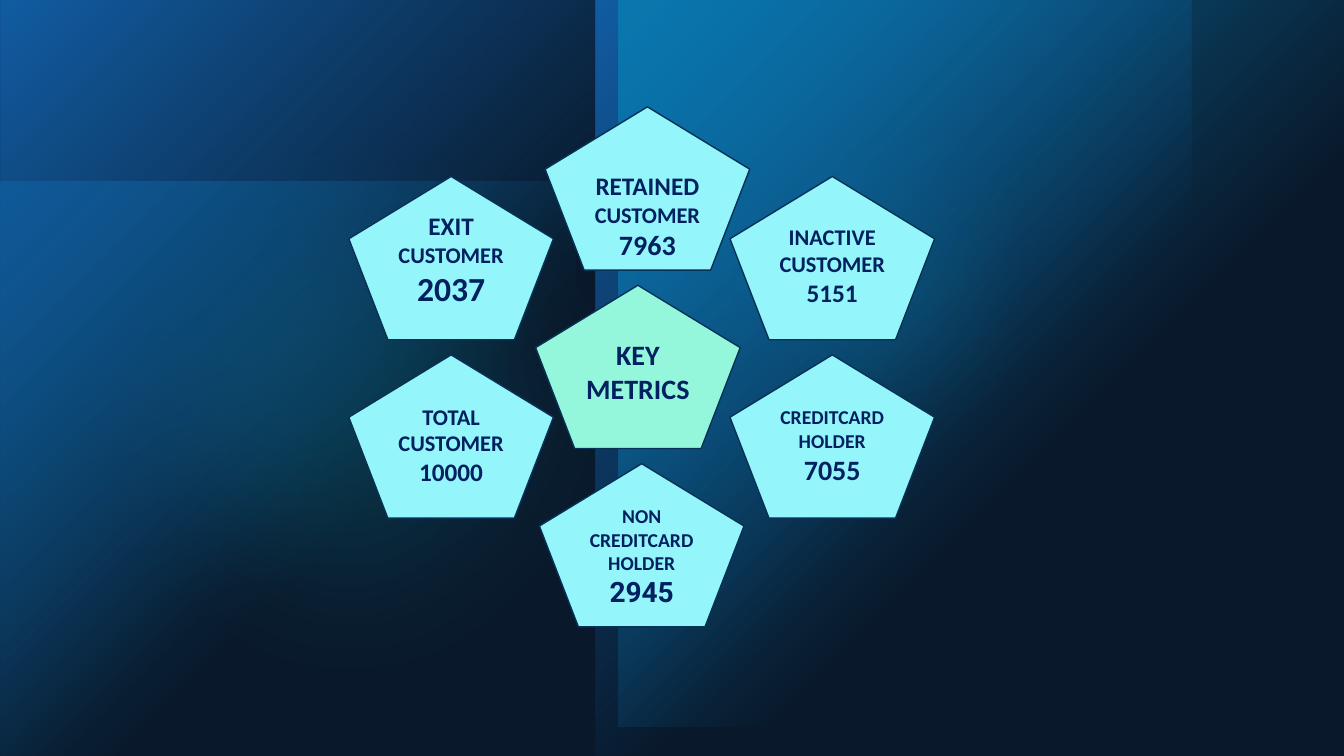
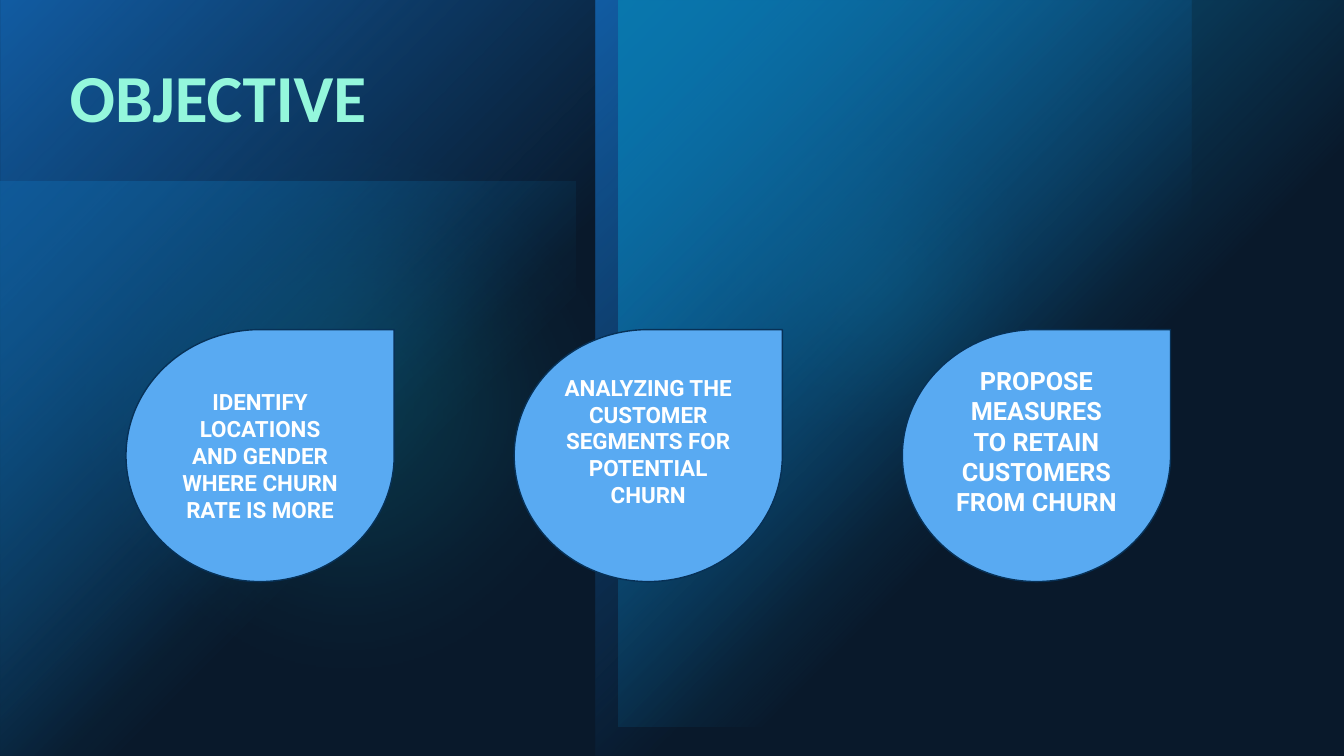
import lxml.etree
import pptx
import pptx.dml.color
import pptx.enum.shapes
import pptx.enum.text
import pptx.oxml.ns
import pptx.util

inch = pptx.util.Inches
qn = pptx.oxml.ns.qn
RGB = pptx.dml.color.RGBColor
KIND = pptx.enum.shapes.MSO_SHAPE
ALIGN = pptx.enum.text.PP_ALIGN
ANCHOR = pptx.enum.text.MSO_ANCHOR

WIDE, HIGH = 13.33, 7.5
BLACK = RGB(0x00, 0x00, 0x00)
BLUE = RGB(0x0F, 0x6F, 0xC6)
SKY = RGB(0x00, 0x9D, 0xD9)
TEAL = RGB(0x0B, 0xD0, 0xD9)
VEIL = RGB(0x17, 0x40, 0x6D)
MINT = RGB(0x94, 0xF7, 0xDC)
AQUA = RGB(0x94, 0xF5, 0xFA)
DROP = RGB(0x59, 0xAA, 0xF2)
EDGE = RGB(0x07, 0x31, 0x57)
NAVY = RGB(0x00, 0x20, 0x60)
WHITE = RGB(0xFF, 0xFF, 0xFF)
HEAD, BODY = "Calibri", "Roboto"

# Metric grid: left and top of the first cell, column and row steps, cell size
LEFT, TOP, COL, ROW = 3.46, 1.06, 1.89, 1.77
CELL = (2.03, 1.62)
SIDE = 0.39  # rows by which the outer columns sit lower


def add(node, tag, **attrs):
    child = lxml.etree.SubElement(node, qn(tag))
    for name, value in attrs.items():
        child.set(name, str(value))
    return child


def tint(node, color, alpha):
    """Add a colour with an opacity in percent."""
    add(add(node, "a:srgbClr", val=color), "a:alpha", val=alpha * 1000)


def plain(slide, kind, box, color):
    shape = slide.shapes.add_shape(kind, *map(inch, box))
    shape.shadow.inherit = False
    shape.fill.solid()
    shape.fill.fore_color.rgb = color
    shape.line.fill.background()
    return shape


def sheer(slide, kind, box, color, alpha, soft=0):
    """Draw a see-through shape, with a soft edge of the given inches."""
    shape = plain(slide, kind, box, color)
    props = shape.element.spPr
    fill = props.find(qn("a:solidFill"))
    fill.remove(fill[0])
    tint(fill, color, alpha)
    if soft:
        add(props.find(qn("a:effectLst")), "a:softEdge", rad=inch(soft))
    return shape


def glow(slide, box, color, alpha=100, turn=0, flip="flipV"):
    """Draw a rectangle that fades out from one corner."""
    shape = plain(slide, KIND.RECTANGLE, box, color)
    shape.rotation = turn
    props = shape.element.spPr
    for name in flip.split():
        props.find(qn("a:xfrm")).set(name, "1")
    grad = lxml.etree.Element(qn("a:gradFill"), rotWithShape="1")
    stops = add(grad, "a:gsLst")
    for place, level in ((0, alpha), (60, 0)):
        tint(add(stops, "a:gs", pos=place * 1000), color, level)
    focus = add(grad, "a:path", path="circle")
    add(focus, "a:fillToRect", r=100000, b=100000)
    props.replace(props.find(qn("a:solidFill")), grad)
    return shape


def backdrop(deck, slide):
    """Draw the shared backdrop and move it to the slide master."""
    master = deck.slide_master
    master.background.fill.solid()
    master.background.fill.fore_color.rgb = BLACK
    half = (5.91, HIGH)
    parts = [
        glow(slide, (0, 1.8, 5.71, 5.71), SKY, 60),
        sheer(slide, KIND.OVAL, (6.29, 0.43, 4.72, 4.72), TEAL, 60, 1.39),
        sheer(slide, KIND.OVAL, (0, 0.56, 6.94, 6.94), TEAL, 20, 1.39),
        glow(slide, (0, 0, *half), BLUE, turn=180),
        glow(slide, (half[0], 0, *half), BLUE, turn=180, flip="flipH flipV"),
        glow(slide, (6.13, 0, 7.21, 7.21), SKY, turn=180),
        sheer(slide, KIND.RECTANGLE, (0, 0, WIDE, HIGH), VEIL, 40),
    ]
    for place, part in enumerate(parts, 2):
        master.shapes.element.insert(place, part.element)


def style(para, size, font, color):
    for run in para.runs:
        run.font.size = pptx.util.Pt(size)
        run.font.name = font
        run.font.bold = True
        run.font.color.rgb = color


def badge(slide, kind, box, fill, color, lines, lift, side):
    """Draw an outlined shape; lines hold text, size and font."""
    shape = plain(slide, kind, box, fill)
    shape.line.color.rgb = EDGE
    shape.line.width = pptx.util.Pt(1)
    frame = shape.text_frame
    frame.word_wrap = True
    frame.vertical_anchor = ANCHOR.MIDDLE
    frame.margin_left = frame.margin_right = inch(side)
    frame.margin_top = inch(max(0, -lift))
    frame.margin_bottom = inch(max(0, lift))
    frame.text = "\n".join(text for text, _, _ in lines)
    for para, (_, size, font) in zip(frame.paragraphs, lines):
        para.alignment = ALIGN.CENTER
        style(para, size, font, color)


def metric(slide, col, row, lift, *lines, fill=AQUA):
    box = (LEFT + col * COL, TOP + row * ROW, *CELL)
    lines = [(*line, HEAD)[:3] for line in lines]
    badge(slide, KIND.REGULAR_PENTAGON, box, fill, NAVY, lines, lift, 0)


def metrics(slide):
    metric(slide, 0.98, 1, 0.3, ("KEY", 20), ("METRICS", 20), fill=MINT)
    metric(slide, 2, 1 + SIDE, 0.2,
           ("CREDITCARD", 14), ("HOLDER", 14), ("7055", 20))
    metric(slide, 2, SIDE, 0.24,
           ("INACTIVE", 16), ("CUSTOMER", 16), ("5151", 18))
    metric(slide, 1.03, 0, -0.16,
           ("RETAINED", 18), ("CUSTOMER", 16), ("7963", 20))
    metric(slide, 0, 1 + SIDE, 0.22,
           ("TOTAL", 16), ("CUSTOMER", 16), ("10000", 18))
    metric(slide, 0, SIDE, 0.36,
           ("EXIT", 18), ("CUSTOMER", 16), ("2037", 24))
    metric(slide, 1, 2, 0.17, ("NON", 14), ("CREDITCARD", 14),
           ("HOLDER", 14), ("2945", 20, BODY))


def title(slide, text):
    head = slide.shapes.title
    head.left, head.top = inch(0.59), inch(0.59)
    head.width, head.height = inch(12.14), inch(1.98)
    frame = head.text_frame
    frame.text = text
    frame.vertical_anchor = ANCHOR.TOP
    para = frame.paragraphs[0]
    para.alignment = ALIGN.LEFT
    para.line_spacing = 0.9
    style(para, 48, HEAD, MINT)


def goals(slide):
    title(slide, "OBJECTIVE")
    items = [
        (16, 0, ["IDENTIFY LOCATIONS", "AND GENDER WHERE CHURN RATE IS MORE"]),
        (16, 0.29, ["ANALYZING THE CUSTOMER SEGMENTS FOR POTENTIAL CHURN"]),
        (18, 0.29, ["PROPOSE MEASURES", "TO RETAIN CUSTOMERS FROM CHURN"]),
    ]
    for col, (size, lift, texts) in enumerate(items):
        box = (1.25 + col * 3.85, 3.27, 2.66, 2.5)
        lines = [(text, size, BODY) for text in texts]
        badge(slide, KIND.TEAR, box, DROP, WHITE, lines, lift, 0.1)


def main():
    deck = pptx.Presentation()
    deck.slide_width, deck.slide_height = inch(WIDE), inch(HIGH)
    first = deck.slides.add_slide(deck.slide_layouts.get_by_name("Blank"))
    backdrop(deck, first)
    metrics(first)
    goals(deck.slides.add_slide(deck.slide_layouts.get_by_name("Title Only")))
    deck.save("out.pptx")


if __name__ == "__main__":
    main()
